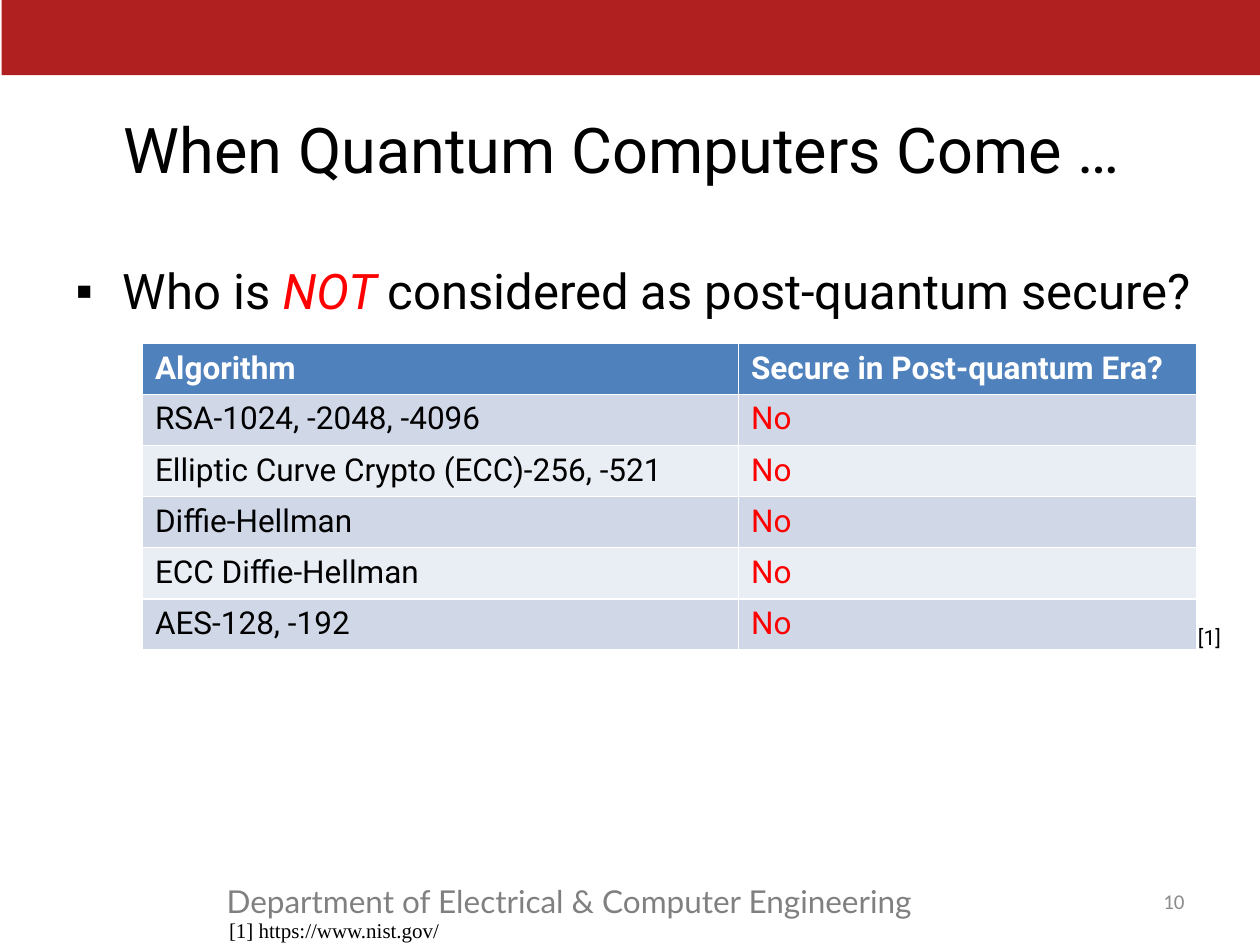
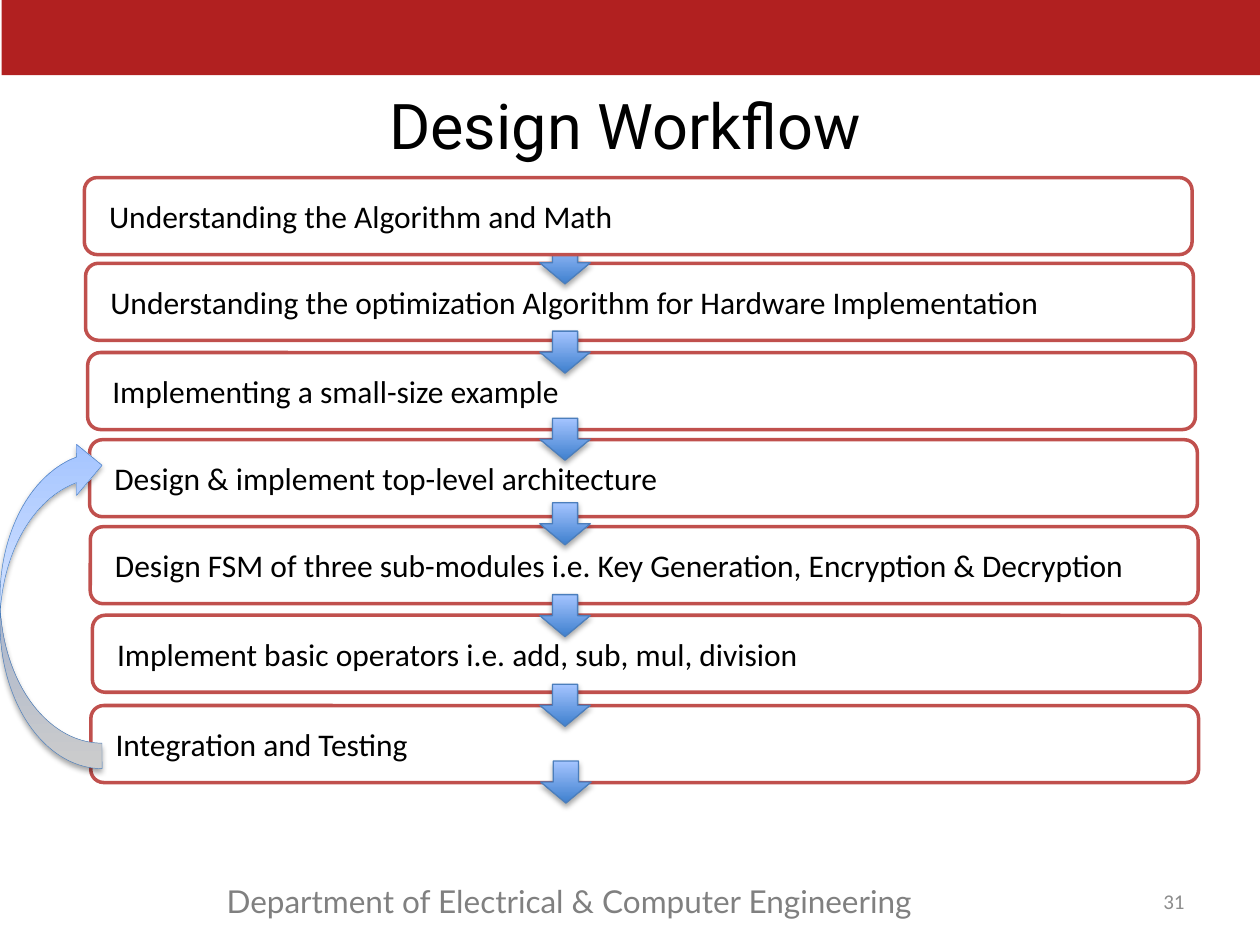
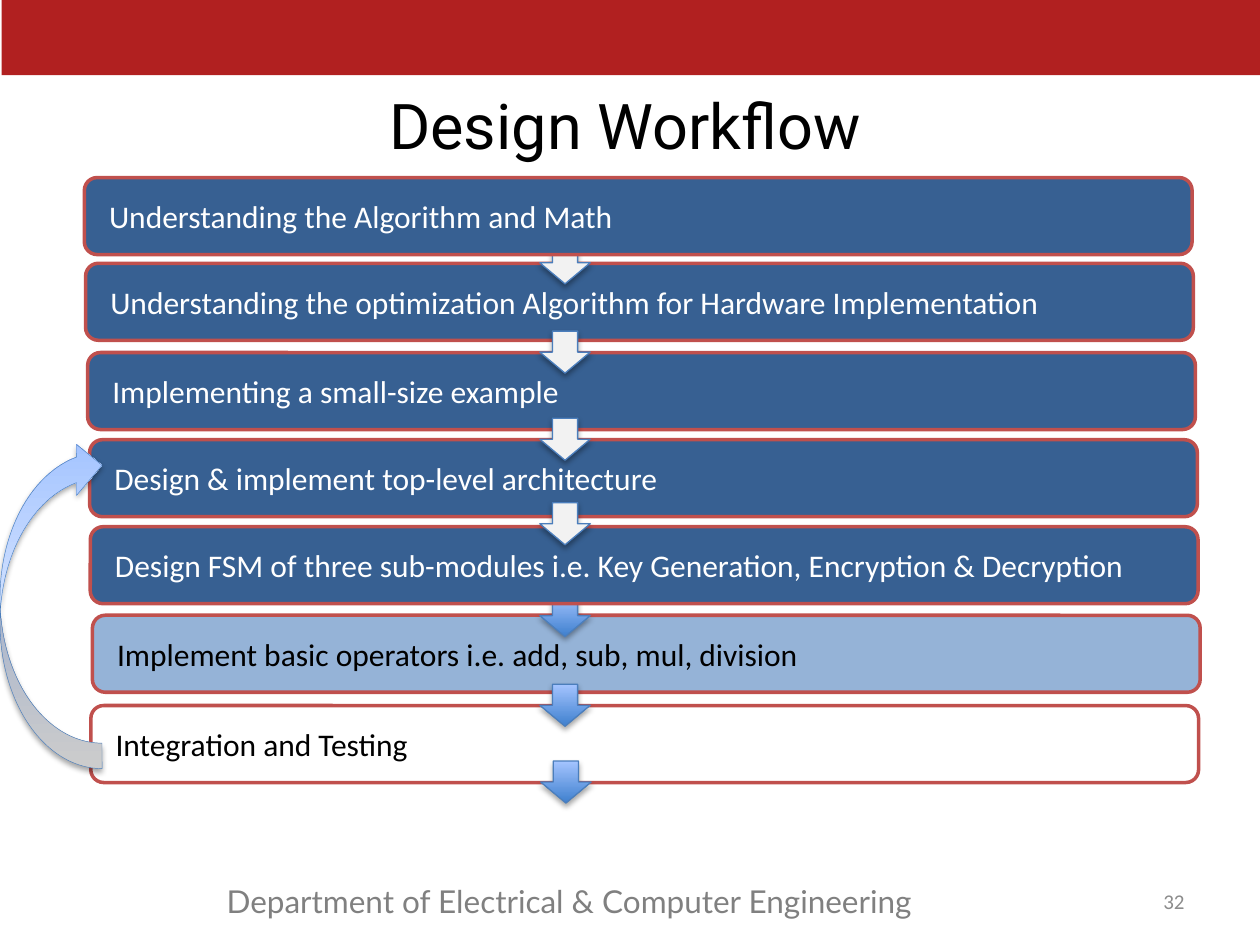
"""Build three slides on post-quantum security and a hardware design workflow."""
from lxml.etree import SubElement
from pptx import Presentation
from pptx.dml.color import RGBColor
from pptx.enum.shapes import MSO_SHAPE
from pptx.enum.text import MSO_ANCHOR, PP_ALIGN
from pptx.oxml.ns import qn
from pptx.util import Pt

BAND_RED, STEP_RED = "B12020", "C0504D"
BLACK, WHITE, RED = "000000", "FFFFFF", "FF0000"
FOOTER_GRAY, NUMBER_GRAY = "808080", "8C8C8C"
HEADER_BLUE, ROW_TINTS = "4F81BD", ("D0D8E8", "E9EDF4")
DONE_BLUE, CURRENT_BLUE, DONE_ARROW = "376092", "95B3D7", "F2F2F2"
ARROW_BLUES, LOOP_BLUES, ARROW_LINE = ("3F80CE", "A4C4FF"), (WHITE, "A4C4FF"), "4B7EBC"


def write(paragraph, text, font, size, color, align=PP_ALIGN.LEFT):
    """Put text into a paragraph and format it."""
    paragraph.text = text
    paragraph.alignment = align
    paragraph.font.name = font
    paragraph.font.size = Pt(size)
    paragraph.font.color.rgb = RGBColor.from_string(color)


def paint(shape, fill, line=None, width=0, angle=None):
    """Fill and outline a shape; arrows, which have an angle, also get a shadow."""
    if isinstance(fill, tuple):
        shape.fill.gradient()
        shape.fill.gradient_angle = angle
        for stop, color in zip(shape.fill.gradient_stops, fill):
            stop.color.rgb = RGBColor.from_string(color)
    else:
        shape.fill.solid()
        shape.fill.fore_color.rgb = RGBColor.from_string(fill)
    if line:
        shape.line.color.rgb = RGBColor.from_string(line)
        shape.line.width = Pt(width)
    else:
        shape.line.fill.background()
    shape.shadow.inherit = False
    if angle is not None:
        effects = shape.element.spPr.find(qn("a:effectLst"))
        shadow = SubElement(effects, qn("a:outerShdw"), blurRad="40000", dist="23000",
                            dir="5400000", rotWithShape="0")
        shadow_color = SubElement(shadow, qn("a:srgbClr"), val=BLACK)
        SubElement(shadow_color, qn("a:alpha"), val="35000")


prs = Presentation()
prs.slide_width, prs.slide_height = Pt(720), Pt(540)
threat = prs.slides.add_slide(prs.slide_layouts[1])
plan, progress = [prs.slides.add_slide(prs.slide_layouts[5]) for _ in range(2)]

band = threat.shapes.add_shape(MSO_SHAPE.RECTANGLE, Pt(1), 0, Pt(720), Pt(43))
paint(band, BAND_RED)
department = threat.shapes.add_textbox(Pt(122.4), Pt(500.4), Pt(415.4), Pt(28.8))
department.text_frame.word_wrap = True
write(department.text_frame.paragraphs[0], "Department of Electrical & Computer Engineering",
      "Lato", 18, FOOTER_GRAY)
for position, shared in enumerate((band, department), 2):
    prs.slide_master.shapes.element.insert(position, shared.element)

for slide, heading, left, top, number in (
    (threat, "When Quantum Computers Come … ", 36, 58.3, "10"),
    (plan, "Design Workflow", 33.1, 44.6, "31"),
    (progress, "Design Workflow", 33.1, 44.6, "32"),
):
    title = slide.shapes.title
    title.left, title.top, title.width, title.height = Pt(left), Pt(top), Pt(648), Pt(53.3)
    title.text_frame.vertical_anchor = MSO_ANCHOR.MIDDLE
    write(title.text_frame.paragraphs[0], heading, "Roboto", 36, BLACK, PP_ALIGN.CENTER)
    page = slide.shapes.add_textbox(Pt(641.5), Pt(500.4), Pt(42.5), Pt(28.8))
    page.text_frame.vertical_anchor = MSO_ANCHOR.MIDDLE
    page.text_frame.word_wrap = True
    write(page.text_frame.paragraphs[0], number, "Calibri", 12, NUMBER_GRAY, PP_ALIGN.RIGHT)

body = threat.placeholders[1]
body.left, body.top, body.width, body.height = Pt(36), Pt(145.4), Pt(684), Pt(356.4)
question = body.text_frame.paragraphs[0]
question_format = question._p.get_or_add_pPr()
question_format.set("marL", str(Pt(27)))
question_format.set("indent", str(Pt(-27)))
SubElement(question_format, qn("a:buFont"), typeface="Arial")
SubElement(question_format, qn("a:buChar"), char="▪")
write(question, "Who is ", "Roboto", 28, BLACK)
question.space_before = Pt(0)
emphasis = question.add_run()
emphasis.text = "NOT "
emphasis.font.italic = True
emphasis.font.color.rgb = RGBColor.from_string(RED)
question.add_run().text = "considered as post-quantum secure?"

algorithms = ["RSA-1024, -2048, -4096", "Elliptic Curve Crypto (ECC)-256, -521",
              "Diffie-Hellman", "ECC Diffie-Hellman", "AES-128, -192"]
rows = [("Algorithm", "Secure in Post-quantum Era?")] + [(name, "No") for name in algorithms]
security = threat.shapes.add_table(len(rows), 2, Pt(81.4), Pt(196.2), Pt(602.6), Pt(175.2)).table
security.columns[0].width, security.columns[1].width = Pt(340.6), Pt(262)
for r, row in enumerate(rows):
    security.rows[r].height = Pt(29.2)
    for c, text in enumerate(row):
        cell = security.cell(r, c)
        cell.fill.solid()
        cell.fill.fore_color.rgb = RGBColor.from_string(ROW_TINTS[(r - 1) % 2] if r else HEADER_BLUE)
        cell.vertical_anchor = MSO_ANCHOR.TOP if r else MSO_ANCHOR.MIDDLE
        paragraph = cell.text_frame.paragraphs[0]
        write(paragraph, text, "Roboto", 18, (BLACK, RED)[c] if r else WHITE)
        paragraph.font.bold = r == 0

for text, font, left, top, width in (
    ("[1] https://www.nist.gov/", "Times New Roman", 123.8, 520.6, 437.8),
    ("[1]", "Roboto", 677.5, 353.5, 36),
):
    citation = threat.shapes.add_textbox(Pt(left), Pt(top), Pt(width), Pt(21.6))
    citation.text_frame.word_wrap = True
    write(citation.text_frame.paragraphs[0], text, font, 12, BLACK)

steps = [
    ("Understanding the Algorithm and Math", 48.2, 101.5, None),
    ("Understanding the optimization Algorithm for Hardware Implementation", 48.9, 150.5, 138.2),
    ("Implementing a small-size example", 50.1, 201.5, 189.2),
    ("Design & implement top-level architecture", 51.2, 251.3, 239),
    ("Design FSM of three sub-modules i.e. Key Generation, Encryption & Decryption", 51.6, 301, 287.3),
    ("Implement basic operators i.e. add, sub, mul, division", 52.8, 351.6, 339.8),
    ("Integration and Testing", 51.9, 403.2, 391),
]
todo, current, done = (WHITE, BLACK, ARROW_BLUES), (CURRENT_BLUE, BLACK, ARROW_BLUES), (DONE_BLUE, WHITE, DONE_ARROW)
for slide, states, order in (
    (plan, [todo] * 7, (1, 2, 3, 4, 5, 6, 0)),
    (progress, [done] * 5 + [current, todo], (5, 6, 1, 2, 3, 4, 0)),
):
    for index in order:
        text, left, top, arrow_top = steps[index]
        step_fill, text_color, arrow_fill = states[index]
        step = slide.shapes.add_shape(MSO_SHAPE.ROUNDED_RECTANGLE, Pt(left), Pt(top), Pt(633), Pt(44))
        paint(step, step_fill, STEP_RED, 2)
        step.text_frame.margin_left = Pt(12)
        step.text_frame.word_wrap = True
        step.text_frame.vertical_anchor = MSO_ANCHOR.MIDDLE
        write(step.text_frame.paragraphs[0], text, "Calibri", 18, text_color)
        if arrow_top:
            arrow = slide.shapes.add_shape(MSO_SHAPE.DOWN_ARROW, Pt(308.5), Pt(arrow_top), Pt(28.8), Pt(24))
            paint(arrow, arrow_fill, ARROW_LINE, 0.75, 90)
    feedback = slide.shapes.add_shape(MSO_SHAPE.CURVED_DOWN_ARROW, Pt(-64.8), Pt(316.1), Pt(187.9), Pt(58.3))
    feedback.rotation = 270
    paint(feedback, LOOP_BLUES, ARROW_LINE, 0.25, 0)
    finish = slide.shapes.add_shape(MSO_SHAPE.DOWN_ARROW, Pt(309), Pt(434.9), Pt(28.8), Pt(24))
    paint(finish, ARROW_BLUES, ARROW_LINE, 0.75, 90)

prs.save("out.pptx")
